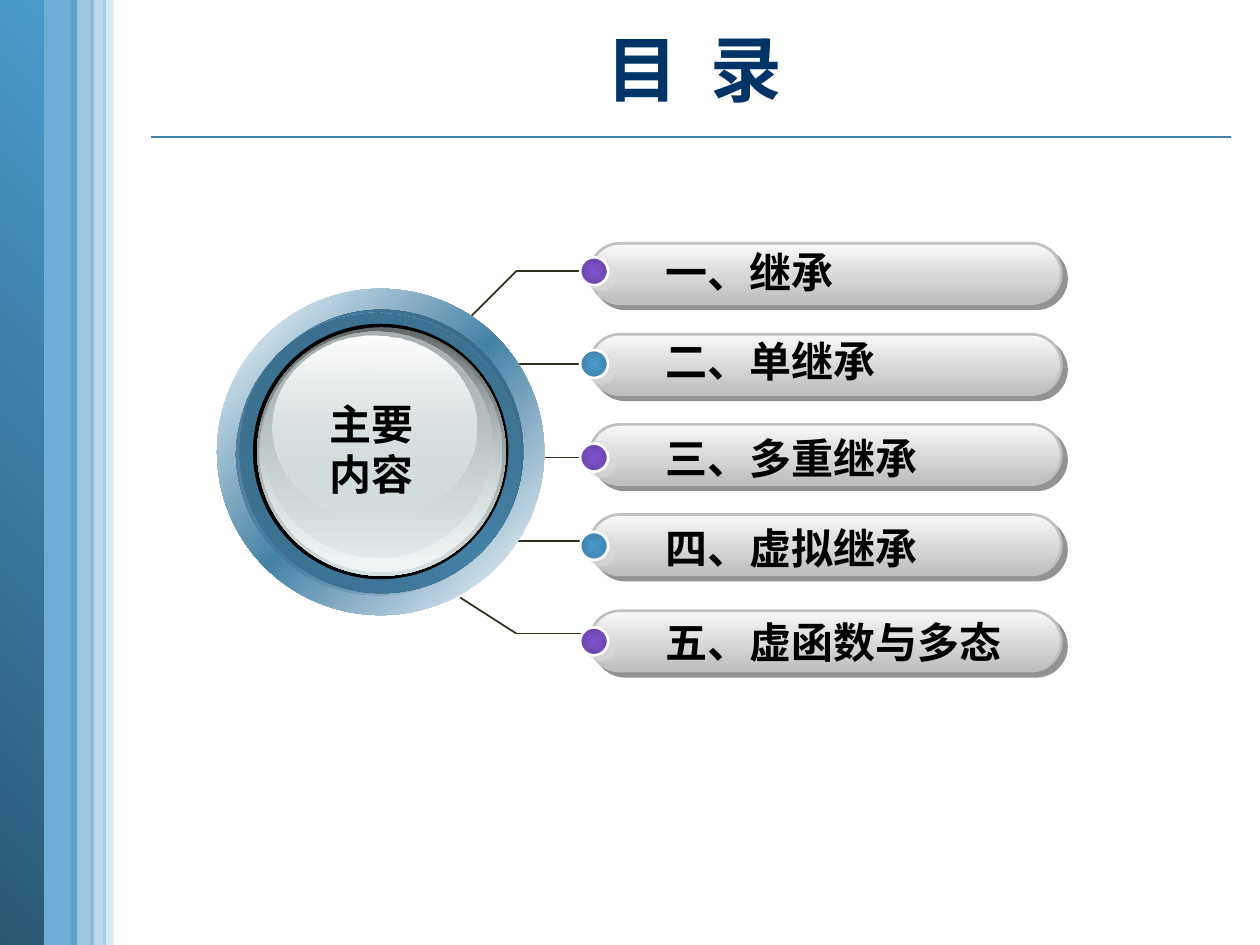
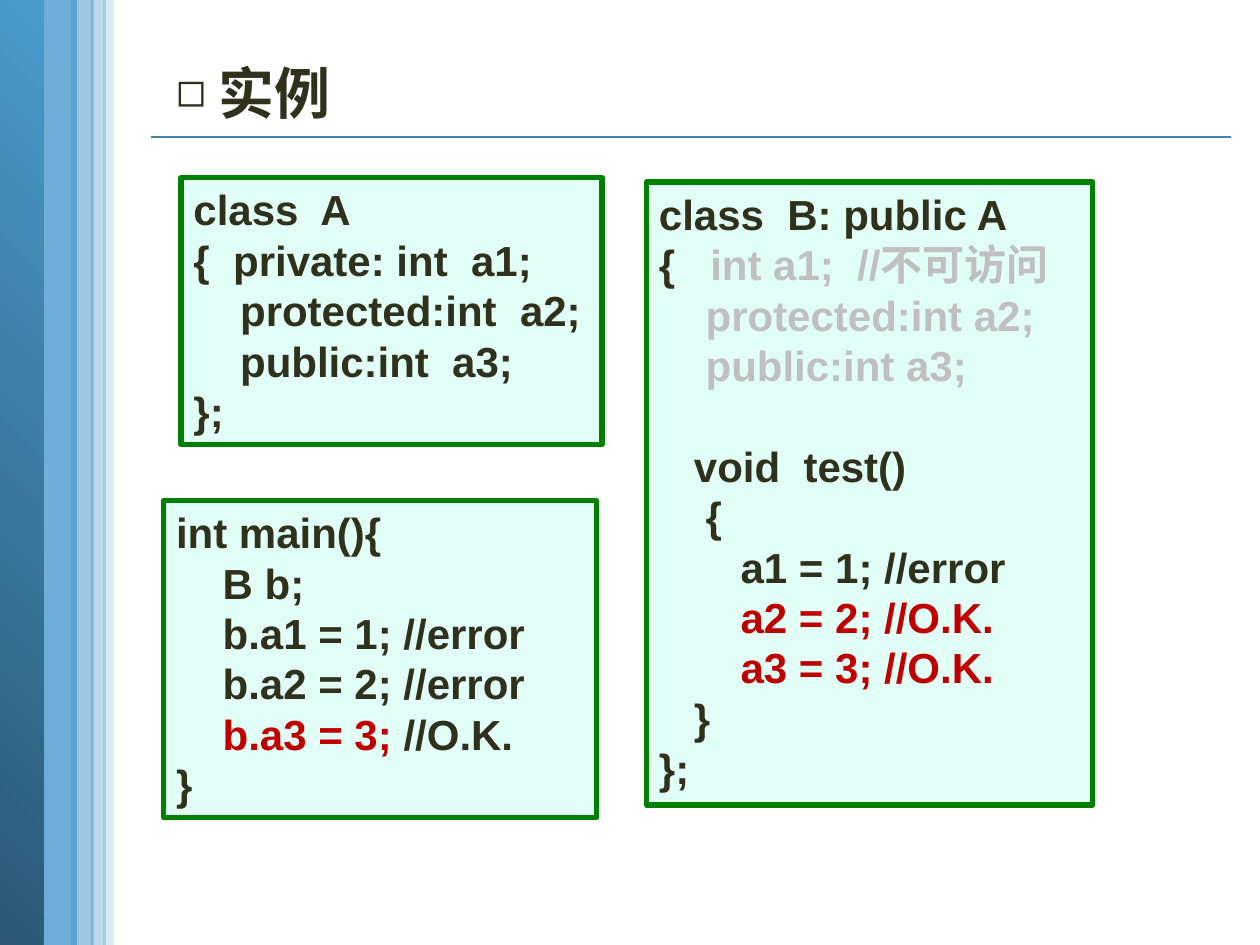
"""Build a contents slide and a C++ inheritance example slide."""
from itertools import pairwise

from lxml import etree
from pptx import Presentation
from pptx.dml.color import RGBColor
from pptx.enum.shapes import MSO_CONNECTOR, MSO_SHAPE
from pptx.enum.text import MSO_ANCHOR, MSO_AUTO_SIZE, PP_ALIGN
from pptx.oxml import parse_xml
from pptx.oxml.ns import nsdecls, qn
from pptx.util import Pt

HUES = {
    "sky": "4A9ACC", "sea": "3E81AB", "deep": "2B5976", "rule": "4582A7",
    "navy": "003366", "ink": "30311D", "black": "000000", "white": "FFFFFF",
    "plum": "7E52CC", "grape": "6A45AB", "snow": "F8F8F8", "ash": "BEBEBE",
    "edge": "C0C0C0", "shade": "292929", "mist": "DDDDDD", "teal": "356480",
    "slate": "396B89", "iron": "636869", "ice": "D6E1E2", "frost": "F1F5F5",
    "steel": "AAB2B3", "mint": "E1FFF7", "green": "008000", "red": "C00000",
}

BANDS = [
    (22, 22, ["sky/80"], 0),
    (0, 25, ["deep", "sky"], 315),
    (59, 6, ["sky/20"], 0),
    (40.5, 13, ["sky/54"], 0),
    (52, 8.5, ["sky/37"], 0),
]
TOPICS = [
    ("一、继承", 139, 137.5, 147),
    ("二、单继承", 191, 188, 200),
    ("三、多重继承", 242.5, 243.5, 253.5),
    ("四、虚拟继承", 294, 295, 304),
    ("五、虚函数与多态", 349, 348.5, 358.5),
]
PATHS = [
    [(268.5, 181.5), (295, 155), (337.5, 155)],
    [(289.5, 208), (337.5, 208)],
    [(295, 261.5), (337.5, 261.5)],
    [(289.5, 309), (337.5, 309)],
    [(263, 341.5), (295, 362), (337.5, 362)],
]
DOTS = [["plum", "grape"], ["sky", "sea"]]
RINGS = [
    (124, 165, 187, 186.5, ["white", "rule", "white"], 45),
    (137, 177, 162, 162, ["teal", "rule", "teal"], 315),
    (134.5, 178.5, 162, 162, ["slate", "rule/0"], 45),
    (144.5, 185, 146, 146, ["black"], 0),
    (147, 187, 142, 142, ["iron", "ice"], 90),
    (148.5, 188.5, 138, 138, ["ice/0", "frost"], 90),
    (150, 189.5, 131, 129, ["steel", "ice/48"], 90),
    (156, 191.5, 116.5, 105, ["white", "ice/38"], 90),
]
CODE = [
    ((103.5, 101.5, 240.5, 152.5), [
        (0, 0, "class  A"),
        (3.4, 0, "{\tprivate: int  a1;"),
        (4, 0, "protected:int  a2;"),
        (4, 0, "public:int  a3;"),
        (0, 0, "};"),
    ]),
    ((369.5, 104, 255, 356), [
        (0, 0, "class  B: public A"),
        (4.4, 0, "{\t", ("int a1;  //不可访问", "edge")),
        (4, 0, ("protected:int a2;", "edge")),
        (4, 0, ("public:int a3;", "edge")),
        (3, 1, "void  test()"),
        (4, 0, "{"),
        (7, 0, "a1 = 1; //error"),
        (7, 0, ("a2 = 2; //O.K.", "red")),
        (7, 0, ("a3 = 3; //O.K.", "red")),
        (3, 0, "}"),
        (0, 0, "};"),
    ]),
    ((93.5, 286, 247.5, 181), [
        (0, 0, "int main(){"),
        (4, 0, "B b;"),
        (4, 0, "b.a1 = 1; //error"),
        (4, 0, "b.a2 = 2; //error"),
        (4, 0, ("b.a3 = 3; ", "red"), "//O.K."),
        (0, 0, "}"),
    ]),
]
SPACE = 6.67
LEFT = {"alignment": PP_ALIGN.LEFT}
MID = {"alignment": PP_ALIGN.CENTER}
TOP = {"vertical_anchor": MSO_ANCHOR.TOP, "word_wrap": True,
       "auto_size": MSO_AUTO_SIZE.NONE}
LABEL = {**TOP, "vertical_anchor": MSO_ANCHOR.MIDDLE, "word_wrap": False}


def style(item, form):
    for name, value in form.items():
        setattr(item, name, value)


def color(key):
    return RGBColor.from_string(HUES[key])


def tint(code):
    key, _, alpha = code.partition("/")
    return (f'<a:srgbClr val="{HUES[key]}">'
            f'<a:alpha val="{int(alpha or 100) * 1000}"/></a:srgbClr>')


def paint(shape, stops, angle=0):
    if len(stops) == 1:
        xml = f'<a:solidFill {nsdecls("a")}>{tint(stops[0])}</a:solidFill>'
    else:
        step = 100000 // (len(stops) - 1)
        marks = "".join(f'<a:gs pos="{i * step}">{tint(stop)}</a:gs>'
                        for i, stop in enumerate(stops))
        way = f'<a:lin ang="{angle * 60000}" scaled="0"/>'
        if angle == "path":
            way = ('<a:path path="shape"><a:fillToRect l="50000" t="50000" '
                   'r="50000" b="50000"/></a:path>')
        xml = (f'<a:gradFill {nsdecls("a")} rotWithShape="1">'
               f'<a:gsLst>{marks}</a:gsLst>{way}</a:gradFill>')
    shape.fill.background()
    props = shape.element.spPr
    props.replace(props.find(qn("a:noFill")), parse_xml(xml))


def draw(slide, kind, box, stops, angle=0, edge=None, width=1.5, cast=None):
    shape = slide.shapes.add_shape(kind, *map(Pt, box))
    shape.shadow.inherit = False
    paint(shape, stops, angle)
    if edge:
        shape.line.color.rgb = color(edge)
        shape.line.width = Pt(width)
    else:
        shape.line.fill.background()
    if cast:
        hue, dist, turn = cast
        shape.element.spPr.find(qn("a:effectLst")).append(parse_xml(
            f'<a:outerShdw {nsdecls("a")} dist="{Pt(dist)}" dir="{turn * 60000}" '
            f'algn="ctr" rotWithShape="0">{tint(hue)}</a:outerShdw>'))
    return shape


def link(slide, start, end, hue):
    line = slide.shapes.add_connector(MSO_CONNECTOR.STRAIGHT, *map(Pt, start + end))
    line.line.color.rgb = color(hue)
    line.line.width = Pt(1)
    etree.SubElement(line.element.spPr, qn("a:effectLst"))
    return line


def write(frame, lines, size, hue, form, para):
    style(frame, form)
    for i, (indent, gap, *runs) in enumerate(lines):
        part = frame.add_paragraph() if i else frame.paragraphs[0]
        style(part, {"line_spacing": Pt(size * 1.2),
                     "space_before": Pt(gap * size * 1.2), **para})
        if indent:
            shift = Pt(indent * SPACE)
            props = part._p.get_or_add_pPr()
            props.set("marL", str(shift))
            props.set("indent", str(-shift if "\t" in runs[0] else 0))
        for item in runs:
            text, tone = (item, hue) if isinstance(item, str) else item
            run = part.add_run()
            run.text = text
            style(run.font, {"name": "Arial", "size": Pt(size), "bold": True})
            run.font.color.rgb = color(tone)


def place(shape, box):
    style(shape, dict(zip(("left", "top", "width", "height"), map(Pt, box))))


def note(slide, box, lines, form, para):
    text = slide.shapes.add_textbox(*map(Pt, box))
    write(text.text_frame, lines, 24, "black", form, para)


def frame(slide, layout):
    parts = [link(slide, (86.5, 78.5), (703.5, 78.5), "rule")]
    parts += [draw(slide, MSO_SHAPE.RECTANGLE, (left, 0, wide, 540), stops, angle)
              for left, wide, stops, angle in BANDS]
    for part in parts:
        layout.shapes.element.append(part.element)


def topics(slide):
    title = slide.shapes.title
    place(title, (83.5, -1.5, 626.5, 80))
    write(title.text_frame, [(0, 0, "目  录")], 41, "navy",
          {**LABEL, "word_wrap": True}, MID)
    for path in PATHS:
        for start, end in pairwise(path):
            link(slide, start, end, "ink")
    for i, (text, bar, label, dot) in enumerate(TOPICS):
        pill = draw(slide, MSO_SHAPE.ROUNDED_RECTANGLE, (337, bar, 269.5, 34.5),
                    ["snow", "ash"], 90, "edge", cast=("shade/50", 4.2, 45))
        pill.adjustments[0] = 0.5
        draw(slide, MSO_SHAPE.OVAL, (331.5, dot, 16, 16), DOTS[i % 2], "path",
             "white", cast=("mist/50", 5, 37))
        note(slide, (373, label, 28 * len(text), 36), [(0, 0, text)], LABEL, LEFT)
    for *box, stops, angle in RINGS:
        draw(slide, MSO_SHAPE.OVAL, box, stops, angle)
    note(slide, (153.5, 224, 117.5, 65.5), [(0, 0, "主要"), (0, 0, "内容")], TOP, MID)


def sample(slide):
    title = slide.shapes.title
    place(title, (93.5, 29.5, 112.5, 46))
    write(title.text_frame, [(0, 0, "实例")], 32, "ink", LABEL, LEFT)
    props = title.text_frame.paragraphs[0]._p.get_or_add_pPr()
    style_list = {"marL": Pt(24), "indent": -Pt(24)}
    for name, value in style_list.items():
        props.set(name, str(value))
    etree.SubElement(props, qn("a:buSzPct"), val="87000")
    etree.SubElement(props, qn("a:buFont"), typeface="Arial")
    etree.SubElement(props, qn("a:buChar"), char="◻")
    for box, lines in CODE:
        panel = draw(slide, MSO_SHAPE.RECTANGLE, box, ["mint"], 0, "green", 3)
        write(panel.text_frame, lines, 24, "ink", TOP, LEFT)


def main():
    deck = Presentation()
    style(deck, {"slide_width": Pt(720), "slide_height": Pt(540)})
    layout = deck.slide_layouts[5]
    first, second = (deck.slides.add_slide(layout) for _ in range(2))
    frame(first, layout)
    topics(first)
    sample(second)
    deck.save("out.pptx")


if __name__ == "__main__":
    main()
